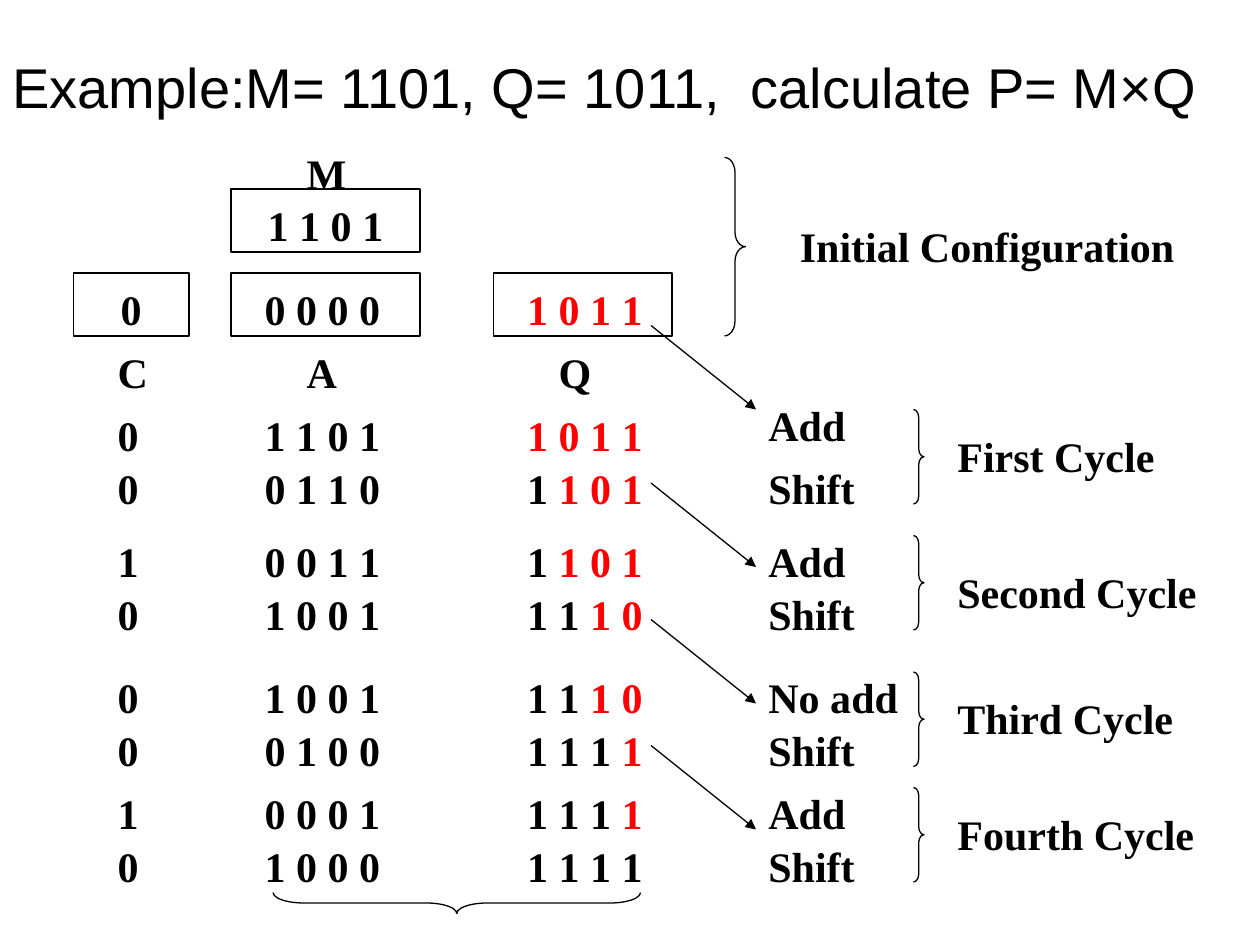
from lxml import etree
from pptx import Presentation
from pptx.dml.color import RGBColor
from pptx.enum import shapes, text
from pptx.oxml.ns import qn
from pptx.util import Pt

COLORS = {"ink": "000000", "multiplier": "FF0000"}
SERIF, SANS = "Times New Roman", "Arial"
INSET, LABEL_INSET, ROW_INSET = 7.2, 19.2, 25.2
LINE_HEIGHT = 36
COLUMN_TABS = (84, 234)

# Label, label top, brace top, arrow start, then one step per row:
# action, action top, row top, C, A, product digits of Q, multiplier digits of Q
CYCLES = [
    ("First Cycle", 240, 234, 186, [
        ("Add", 222, 228, "0", "1 1 0 1", "", "1 0 1 1"),
        ("Shift", 258, 258, "0", "0 1 1 0", "1 ", "1 0 1")]),
    ("Second Cycle", 318, 306, 276, [
        ("Add", 300, 300, "1", "0 0 1 1", "1 ", "1 0 1"),
        ("Shift", 330, 330, "0", "1 0 0 1", "1 1 ", "1 0")]),
    ("Third Cycle", 390, 384, 354, [
        ("No add", 378, 378, "0", "1 0 0 1", "1 1 ", "1 0"),
        ("Shift", 408, 408, "0", "0 1 0 0", "1 1 1 ", "1")]),
    ("Fourth Cycle", 456, 450, 426, [
        ("Add", 444, 444, "1", "0 0 0 1", "1 1 1 ", "1"),
        ("Shift", 474, 474, "0", "1 0 0 0", "1 1 1 1", "")]),
]


def rgb(name):
    return RGBColor.from_string(COLORS[name])


def draw_line(line):
    line.color.rgb = rgb("ink")
    line.width = Pt(0.75)


def write(box, black, red="", inset=INSET, align=text.PP_ALIGN.LEFT,
          font=SERIF, size=24, bold=True, tabs=()):
    """Fill a box with one line: black text followed by red text."""
    frame = box.text_frame
    frame.word_wrap = True
    frame.vertical_anchor = text.MSO_ANCHOR.TOP
    frame.margin_left, frame.margin_right = Pt(inset), Pt(INSET)
    frame.margin_top, frame.margin_bottom = Pt(6), Pt(2)
    para = frame.paragraphs[0]
    para.alignment = align
    if tabs:
        stops = etree.SubElement(para._p.get_or_add_pPr(), qn("a:tabLst"))
        for position in tabs:
            etree.SubElement(stops, qn("a:tab"), pos=str(Pt(position)), algn="l")
    para.font.name, para.font.size, para.font.bold = font, Pt(size), bold
    para.font.color.rgb = rgb("ink")
    if black:
        para.add_run().text = black
    if red:
        span = para.add_run()
        span.text = red
        span.font.color.rgb = rgb("multiplier")


def add_label(page, left, top, width, black, red="", height=LINE_HEIGHT, **style):
    box = page.shapes.add_textbox(Pt(left), Pt(top), Pt(width), Pt(height))
    write(box, black, red, **style)


def add_outline(page, preset, left, top, width, height):
    shape = page.shapes.add_shape(preset, Pt(left), Pt(top), Pt(width), Pt(height))
    shape.shadow.inherit = False
    shape.fill.background()
    draw_line(shape.line)
    return shape


def add_register(page, left, top, width, black, red="", **style):
    box = add_outline(page, shapes.MSO_SHAPE.RECTANGLE, left, top, width, LINE_HEIGHT)
    write(box, black, red, **style)


def add_brace(page, left, top, width, height, rotation=0):
    brace = add_outline(page, shapes.MSO_SHAPE.RIGHT_BRACE, left, top, width, height)
    brace.adjustments[0] = height / 12 / width
    brace.rotation = rotation


def add_arrow(page, left, top, width, height):
    arrow = page.shapes.add_connector(shapes.MSO_CONNECTOR.STRAIGHT, Pt(left), Pt(top),
                                      Pt(left + width), Pt(top + height))
    draw_line(arrow.line)
    etree.SubElement(arrow.line._get_or_add_ln(), qn("a:tailEnd"), type="triangle")
    etree.SubElement(arrow._element.spPr, qn("a:effectLst"))


def add_initial_state(page):
    center = text.PP_ALIGN.CENTER
    add_register(page, 132, 108, 108, "1 1 0 1", align=center)
    add_register(page, 42, 156, 66, "0", align=center)
    add_register(page, 132, 156, 108, "0 0 0 0", inset=LABEL_INSET)
    add_register(page, 282, 156, 102, "", "1 0 1 1", inset=LABEL_INSET)
    for name, left, top in (("M", 156, 78), ("C", 48, 192), ("A", 156, 192), ("Q", 300, 192)):
        add_label(page, left, top, 66, name, inset=LABEL_INSET)
    add_brace(page, 414, 90, 12, 102)
    add_label(page, 450, 120, 246, "Initial Configuration")


def add_cycle(page, label, label_top, brace_top, arrow_top, steps):
    for action, action_top, row_top, carry, accumulator, product, multiplier in steps:
        add_label(page, 42, row_top, 366, f"{carry}\t{accumulator}\t{product}", multiplier,
                  inset=ROW_INSET, tabs=COLUMN_TABS)
        add_label(page, 432, action_top, 90, action)
    add_arrow(page, 372, arrow_top, 60, 48)
    add_brace(page, 522, brace_top, 6, 54)
    add_label(page, 540, label_top, 162, label)


def main():
    deck = Presentation()
    deck.slide_width, deck.slide_height = Pt(720), Pt(540)
    page = deck.slides.add_slide(deck.slide_layouts[6])
    add_label(page, 0, 24, 720, "Example:M= 1101, Q= 1011,  calculate P= M×Q",
              height=46, font=SANS, size=32, bold=False)
    add_initial_state(page)
    for cycle in CYCLES:
        add_cycle(page, *cycle)
    add_brace(page, 255, 411, 12, 210, rotation=90)
    deck.save("out.pptx")


if __name__ == "__main__":
    main()
